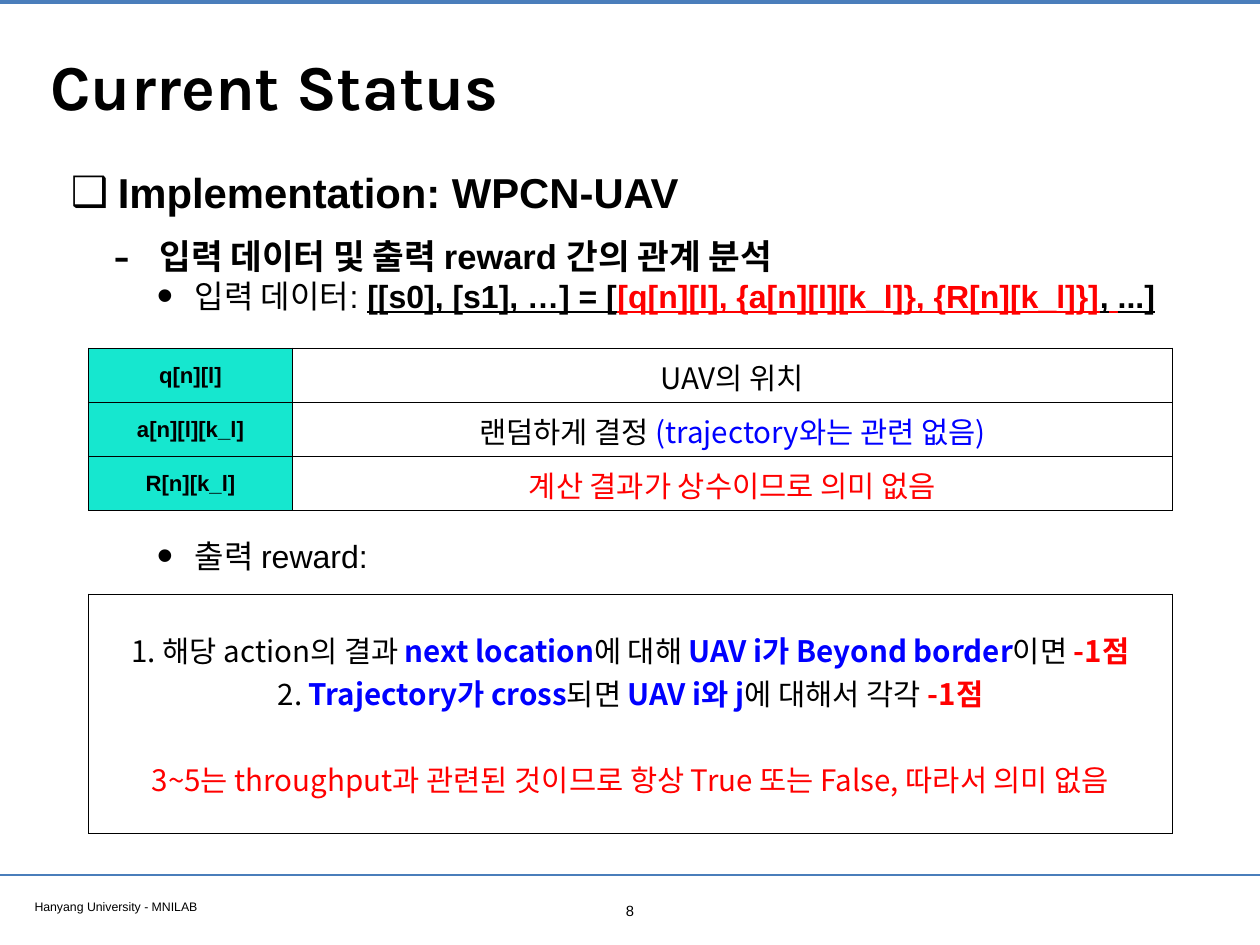
from lxml import etree
from pptx import Presentation
from pptx.dml.color import RGBColor
from pptx.enum.shapes import MSO_CONNECTOR
from pptx.enum.text import MSO_ANCHOR, MSO_AUTO_SIZE, PP_ALIGN
from pptx.oxml.ns import qn
from pptx.util import Inches, Pt

LEFT, CENTER = PP_ALIGN.LEFT, PP_ALIGN.CENTER
TOP, MIDDLE = MSO_ANCHOR.TOP, MSO_ANCHOR.MIDDLE
STRAIGHT = MSO_CONNECTOR.STRAIGHT

BLACK = RGBColor(0x00, 0x00, 0x00)
WHITE = RGBColor(0xFF, 0xFF, 0xFF)
RED = RGBColor(0xFF, 0x00, 0x00)
BLUE = RGBColor(0x00, 0x00, 0xFF)
TEAL = RGBColor(0x16, 0xE7, 0xCF)
RULE = RGBColor(0x4A, 0x7E, 0xBB)
ARIAL, KARLA, NOTO = "Arial", "Karla", "Noto Sans CJK KR"

WIDTH, HEIGHT = 14.22, 10.67
TABLE_LEFT, TABLE_WIDTH = 1, 12.23
KEY_SHARE = 0.188
INSET = 0.06

TITLE = "Current Status"
FOOTER = "Hanyang University - MNILAB"
PAGE = "8"
RULES = [(0.02, 3.2), (9.88, 2)]

# level, bullet, bullet size %, margin, hanging, line spacing, space before, size, runs
BODY = [
    (0, "❑", 100, 0.53, 0.53, 1.2, 0, 34,
     [("Implementation: WPCN-UAV", BLACK, True, False)]),
    (1, "-", 145, 1, 0.52, 1.2, 8, 28,
     [("입력 데이터 및 출력 reward 간의 관계 분석", BLACK, True, False)]),
    (2, "•", 145, 1.4, 0.43, 1, 0, 26,
     [("입력 데이터: ", BLACK, False, False),
      ("[[s0], [s1], …] = [", BLACK, True, True),
      ("[q[n][l], {a[n][l][k_l]}, {R[n][k_l]}]", RED, True, True),
      (",", BLACK, True, True), (" ", RED, True, True), ("...]", BLACK, True, True)]),
    (2, "•", 145, 1.4, 0.43, 1, 180, 26,
     [("출력 reward:", BLACK, False, False)]),
]

INPUTS = [
    ("q[n][l]", [("UAV의 위치", BLACK, False)]),
    ("a[n][l][k_l]", [("랜덤하게 결정 ", BLACK, False),
                      ("(trajectory와는 관련 없음)", BLUE, False)]),
    ("R[n][k_l]", [("계산 결과가 상수이므로 의미 없음", RED, False)]),
]

REWARDS = [
    (0, [("1. 해당 action의 결과 ", BLACK, False), ("next location", BLUE, True),
         ("에 대해 ", BLACK, False), ("UAV i가 Beyond border", BLUE, True),
         ("이면 ", BLACK, False), ("-1점", RED, True)]),
    (0, [("2. ", BLACK, False), ("Trajectory가 cross", BLUE, True),
         ("되면 ", BLACK, False), ("UAV i와 j", BLUE, True),
         ("에 대해서 각각 ", BLACK, False), ("-1점", RED, True)]),
    (35, [("3~5는 throughput과 관련된 것이므로 항상 True 또는 False, 따라서 의미 없음",
           RED, False)]),
]


def add_run(p, text, size, font, color=BLACK, bold=False, underline=False):
    r = p.add_run()
    r.text = text
    r.font.size, r.font.name = Pt(size), font
    r.font.bold, r.font.underline = bold, underline
    r.font.color.rgb = color
    etree.SubElement(r._r.get_or_add_rPr(), qn("a:ea"), typeface=NOTO)


def get_paragraph(tf, i):
    return tf.paragraphs[0] if i == 0 else tf.add_paragraph()


def setup_frame(sp, box, anchor):
    sp.left, sp.top, sp.width, sp.height = [Inches(v) for v in box]
    tf = sp.text_frame
    tf.word_wrap = True
    tf.auto_size = MSO_AUTO_SIZE.NONE
    tf.vertical_anchor = anchor
    tf.margin_left = tf.margin_right = tf.margin_top = tf.margin_bottom = Inches(INSET)
    return tf


def add_label(s, box, text, size, align):
    sp = s.shapes.add_textbox(0, 0, 0, 0)
    p = setup_frame(sp, box, TOP).paragraphs[0]
    p.alignment = align
    add_run(p, text, size, ARIAL)


def add_rule(s, y, weight):
    line = s.shapes.add_connector(STRAIGHT, 0, Inches(y), Inches(WIDTH), Inches(y))
    line.line.color.rgb = RULE
    line.line.width = Pt(weight)
    etree.SubElement(line._element.spPr, qn("a:effectLst"))


def set_bullet(p, char, percent, margin, hanging):
    pPr = p._p.get_or_add_pPr()
    pPr.set("marL", str(Inches(margin)))
    pPr.set("indent", str(-Inches(hanging)))
    etree.SubElement(pPr, qn("a:buSzPct"), val=str(percent * 1000))
    etree.SubElement(pPr, qn("a:buFont"), typeface=ARIAL)
    etree.SubElement(pPr, qn("a:buChar"), char=char)


def add_grid(s, top, row_height, rows, widths):
    frame = s.shapes.add_table(rows, len(widths), Inches(TABLE_LEFT), Inches(top),
                               Inches(TABLE_WIDTH), Inches(row_height * rows))
    table = frame.table
    table.first_row = table.horz_banding = False
    for column, width in zip(table.columns, widths):
        column.width = Inches(width)
    return table


def style_cell(cell, fill):
    tcPr = cell._tc.get_or_add_tcPr()
    for side in ("a:lnL", "a:lnR", "a:lnT", "a:lnB"):
        ln = etree.SubElement(tcPr, qn(side), w=str(Pt(1)))
        solid = etree.SubElement(ln, qn("a:solidFill"))
        etree.SubElement(solid, qn("a:srgbClr"), val=str(BLACK))
    cell.fill.solid()
    cell.fill.fore_color.rgb = fill
    cell.vertical_anchor = MIDDLE


def fill_input_cell(cell, fill, size, font, runs):
    style_cell(cell, fill)
    cell.margin_left = cell.margin_right = Inches(0.07)
    cell.margin_top = cell.margin_bottom = 0
    p = cell.text_frame.paragraphs[0]
    p.alignment, p.line_spacing = CENTER, 1.07
    for text, color, bold in runs:
        add_run(p, text, size, font, color, bold)


def main():
    prs = Presentation()
    prs.slide_width, prs.slide_height = Inches(WIDTH), Inches(HEIGHT)
    s = prs.slides.add_slide(prs.slide_layouts[1])

    for y, weight in RULES:
        add_rule(s, y, weight)
    add_label(s, (0.33, 10.09, 5.46, 0.26), FOOTER, 10, LEFT)
    add_label(s, ((WIDTH - 0.39) / 2, 10.12, 0.39, 0.31), PAGE, 12, CENTER)

    p = setup_frame(s.shapes.title, (0.51, 0.28, 13.21, 1.35), MIDDLE).paragraphs[0]
    p.alignment = LEFT
    add_run(p, TITLE, 52, KARLA, bold=True)

    tf = setup_frame(s.placeholders[1], (0.74, 1.71, 13.35, 4.99), TOP)
    for i, (level, char, percent, margin, hanging, spacing, before, size, runs) in enumerate(BODY):
        p = get_paragraph(tf, i)
        p.level = level
        set_bullet(p, char, percent, margin, hanging)
        p.line_spacing, p.space_before = spacing, Pt(before)
        for text, color, bold, underline in runs:
            add_run(p, text, size, ARIAL, color, bold, underline)

    key_width = TABLE_WIDTH * KEY_SHARE
    inputs = add_grid(s, 3.93, 0.61, len(INPUTS), [key_width, TABLE_WIDTH - key_width])
    for row, (key, runs) in enumerate(INPUTS):
        fill_input_cell(inputs.cell(row, 0), TEAL, 18, ARIAL, [(key, BLACK, True)])
        fill_input_cell(inputs.cell(row, 1), WHITE, 24, NOTO, runs)

    cell = add_grid(s, 6.71, 2.7, 1, [TABLE_WIDTH]).cell(0, 0)
    style_cell(cell, WHITE)
    for i, (before, runs) in enumerate(REWARDS):
        p = get_paragraph(cell.text_frame, i)
        p.alignment, p.space_before = CENTER, Pt(before)
        for text, color, bold in runs:
            add_run(p, text, 24, NOTO, color, bold)

    prs.save("out.pptx")


if __name__ == "__main__":
    main()
